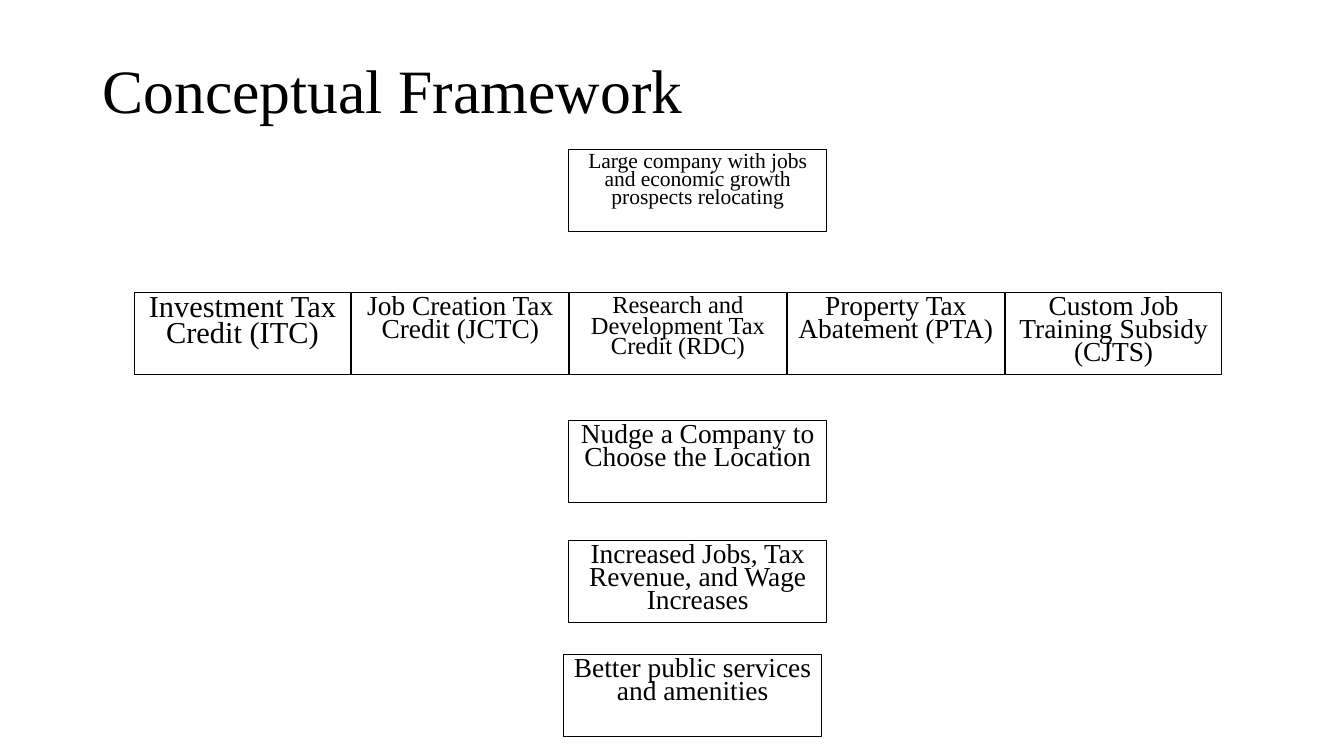
from pptx import Presentation
from pptx import util as u
from pptx.dml.color import RGBColor
from pptx.enum import shapes, text

COLORS = {"ink": "000000", "paper": "FFFFFF"}


class Board:
    font = "Times New Roman"
    box_h = 0.82

    def __init__(self, slide):
        self.slide = slide
        fill = slide.background.fill
        fill.solid()
        fill.fore_color.rgb = self.color("paper")

    def color(self, name):
        return RGBColor.from_string(COLORS[name])

    def label(self, shape, words, size, align, space, before=0):
        frame = shape.text_frame
        frame.word_wrap = True
        frame.text = words
        par = frame.paragraphs[0]
        par.alignment = align
        par.line_spacing = space
        par.space_before = u.Pt(before)
        font = par.runs[0].font
        font.name = self.font
        font.size = u.Pt(size)
        font.color.rgb = self.color("ink")
        return frame

    def title(self, words, left, top, width, height):
        area = self.slide.shapes.add_textbox(
            u.Inches(left), u.Inches(top), u.Inches(width), u.Inches(height))
        frame = self.label(area, words, 44, text.PP_ALIGN.LEFT, 0.9)
        frame.vertical_anchor = text.MSO_ANCHOR.MIDDLE

    def box(self, words, left, top, width, size):
        rect = self.slide.shapes.add_shape(
            shapes.MSO_SHAPE.RECTANGLE, u.Inches(left), u.Inches(top),
            u.Inches(width), u.Inches(self.box_h))
        rect.shadow.inherit = False
        rect.fill.background()
        rect.line.color.rgb = self.color("ink")
        rect.line.width = u.Pt(0.75)
        frame = self.label(rect, words, size, text.PP_ALIGN.CENTER, 0.7, 10)
        frame.vertical_anchor = text.MSO_ANCHOR.TOP


def main():
    deck = Presentation()
    deck.slide_width = u.Inches(13.33)
    deck.slide_height = u.Inches(7.5)
    board = Board(deck.slides.add_slide(deck.slide_layouts[6]))

    # Title
    board.title("Conceptual Framework", 0.92, 0.4, 11.5, 1.05)

    # Row of incentives
    tools = [
        ("Investment Tax Credit (ITC)", 21.7),
        ("Job Creation Tax Credit (JCTC)", 19.6),
        ("Research and Development Tax Credit (RDC)", 17.5),
        ("Property Tax Abatement (PTA)", 19.6),
        ("Custom Job Training Subsidy (CJTS)", 19.6),
    ]
    for col, (words, size) in enumerate(tools):
        board.box(words, 1.33 + col * 2.16, 2.9, 2.15, size)

    # Cause above the row, outcomes below it
    steps = [
        ("Large company with jobs and economic growth prospects relocating",
         5.64, 1.48, 15.4),
        ("Nudge a Company to Choose the Location", 5.64, 4.17, 19.6),
        ("Increased Jobs, Tax Revenue, and Wage Increases", 5.64, 5.36, 19.6),
        ("Better public services and amenities", 5.59, 6.49, 19.6),
    ]
    for words, left, top, size in steps:
        board.box(words, left, top, 2.56, size)

    deck.save("out.pptx")


if __name__ == "__main__":
    main()
